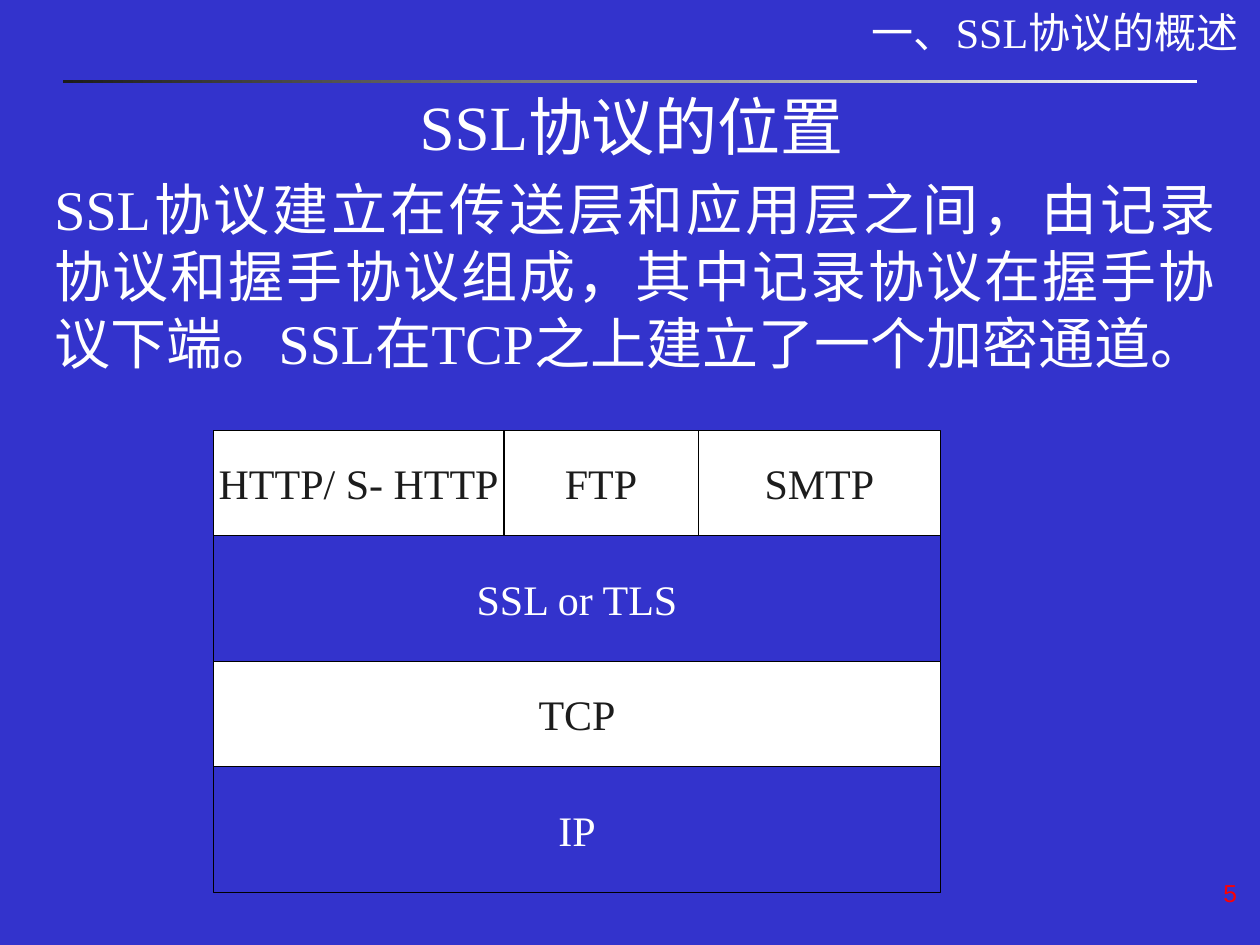
from dataclasses import dataclass
from itertools import accumulate

from pptx import Presentation
from pptx.dml.color import RGBColor
from pptx.enum.shapes import MSO_SHAPE
from pptx.enum.text import MSO_ANCHOR, PP_ALIGN
from pptx.slide import Slide
from pptx.text.text import TextFrame
from pptx.util import Pt


@dataclass(frozen=True)
class Theme:
    background: RGBColor = RGBColor(0x33, 0x33, 0xCC)
    white: RGBColor = RGBColor(0xFF, 0xFF, 0xFF)
    ink: RGBColor = RGBColor(0x1C, 0x1C, 0x1C)
    border: RGBColor = RGBColor(0, 0, 0)
    page_number: RGBColor = RGBColor(0xFF, 0, 0)
    serif: str = "Times New Roman"
    sans: str = "Arial"
    title_size: float = 36
    body_size: float = 32
    label_size: float = 24
    page_size: float = 14


THEME = Theme()


@dataclass(frozen=True)
class Box:
    left: float
    top: float
    width: float
    height: float

    def lengths(self) -> tuple[Pt, Pt, Pt, Pt]:
        return Pt(self.left), Pt(self.top), Pt(self.width), Pt(self.height)


@dataclass(frozen=True)
class Caption:
    text: str
    box: Box
    size: float
    align: PP_ALIGN
    anchor: MSO_ANCHOR = MSO_ANCHOR.TOP
    color: RGBColor = THEME.white
    font: str = THEME.serif


@dataclass(frozen=True)
class Layer:
    height: float
    protocols: dict[str, float]
    filled: bool


STACK_LEFT, STACK_TOP, STACK_WIDTH = 122, 246, 415.5

CAPTIONS = [
    Caption("SSL协议的位置", Box(54, 48, 613.5, 49), THEME.title_size,
            PP_ALIGN.CENTER, MSO_ANCHOR.BOTTOM),
    Caption("一、SSL协议的概述 ", Box(276, 0, 444, 36), THEME.label_size, PP_ALIGN.RIGHT),
    Caption("SSL协议建立在传送层和应用层之间，由记录协议和握手协议组成，"
            "其中记录协议在握手协议下端。SSL在TCP之上建立了一个加密通道。",
            Box(24, 96, 678, 161), THEME.body_size, PP_ALIGN.JUSTIFY),
    Caption("5", Box(564, 498, 150, 36), THEME.page_size, PP_ALIGN.RIGHT,
            color=THEME.page_number, font=THEME.sans),
]

LAYERS = [
    Layer(60, {"HTTP/ S- HTTP": 166, "FTP": 111, "SMTP": 138.5}, True),
    Layer(72, {"SSL or TLS": STACK_WIDTH}, False),
    Layer(60, {"TCP": STACK_WIDTH}, True),
    Layer(72, {"IP": STACK_WIDTH}, False),
]


def write(frame: TextFrame, text: str, size: float, color: RGBColor, font: str,
          align: PP_ALIGN, anchor: MSO_ANCHOR, wrap: bool) -> None:
    frame.word_wrap = wrap
    frame.vertical_anchor = anchor
    paragraph = frame.paragraphs[0]
    paragraph.text = text
    paragraph.alignment = align
    paragraph.font.size = Pt(size)
    paragraph.font.name = font
    paragraph.font.color.rgb = color


def draw_caption(slide: Slide, caption: Caption) -> None:
    frame = slide.shapes.add_textbox(*caption.box.lengths()).text_frame
    write(frame, caption.text, caption.size, caption.color, caption.font,
          caption.align, caption.anchor, True)


def draw_rule(slide: Slide, box: Box) -> None:
    rule = slide.shapes.add_shape(MSO_SHAPE.RECTANGLE, *box.lengths())
    rule.shadow.inherit = False
    rule.line.fill.background()
    rule.fill.gradient()
    rule.fill.gradient_angle = 0
    for stop, color in zip(rule.fill.gradient_stops, (THEME.ink, THEME.white)):
        stop.color.rgb = color


def draw_protocol(slide: Slide, name: str, box: Box, filled: bool) -> None:
    cell = slide.shapes.add_shape(MSO_SHAPE.RECTANGLE, *box.lengths())
    cell.shadow.inherit = False
    cell.line.color.rgb = THEME.border
    cell.line.width = Pt(0.75)
    if filled:
        cell.fill.solid()
        cell.fill.fore_color.rgb = THEME.white
    else:
        cell.fill.background()
    write(cell.text_frame, name, THEME.label_size, THEME.ink if filled else THEME.white,
          THEME.serif, PP_ALIGN.CENTER, MSO_ANCHOR.MIDDLE, False)


def draw_stack(slide: Slide, layers: list[Layer]) -> None:
    tops = accumulate((layer.height for layer in layers), initial=STACK_TOP)
    for layer, top in zip(layers, tops):
        lefts = accumulate(layer.protocols.values(), initial=STACK_LEFT)
        for (name, width), left in zip(layer.protocols.items(), lefts):
            draw_protocol(slide, name, Box(left, top, width, layer.height), layer.filled)


def main() -> None:
    presentation = Presentation()
    presentation.slide_width, presentation.slide_height = Pt(720), Pt(540)
    slide = presentation.slides.add_slide(presentation.slide_layouts[6])
    slide.background.fill.solid()
    slide.background.fill.fore_color.rgb = THEME.background
    draw_rule(slide, Box(36, 45.5, 648, 2.25))
    for caption in CAPTIONS:
        draw_caption(slide, caption)
    draw_stack(slide, LAYERS)
    presentation.save("out.pptx")


if __name__ == "__main__":
    main()
